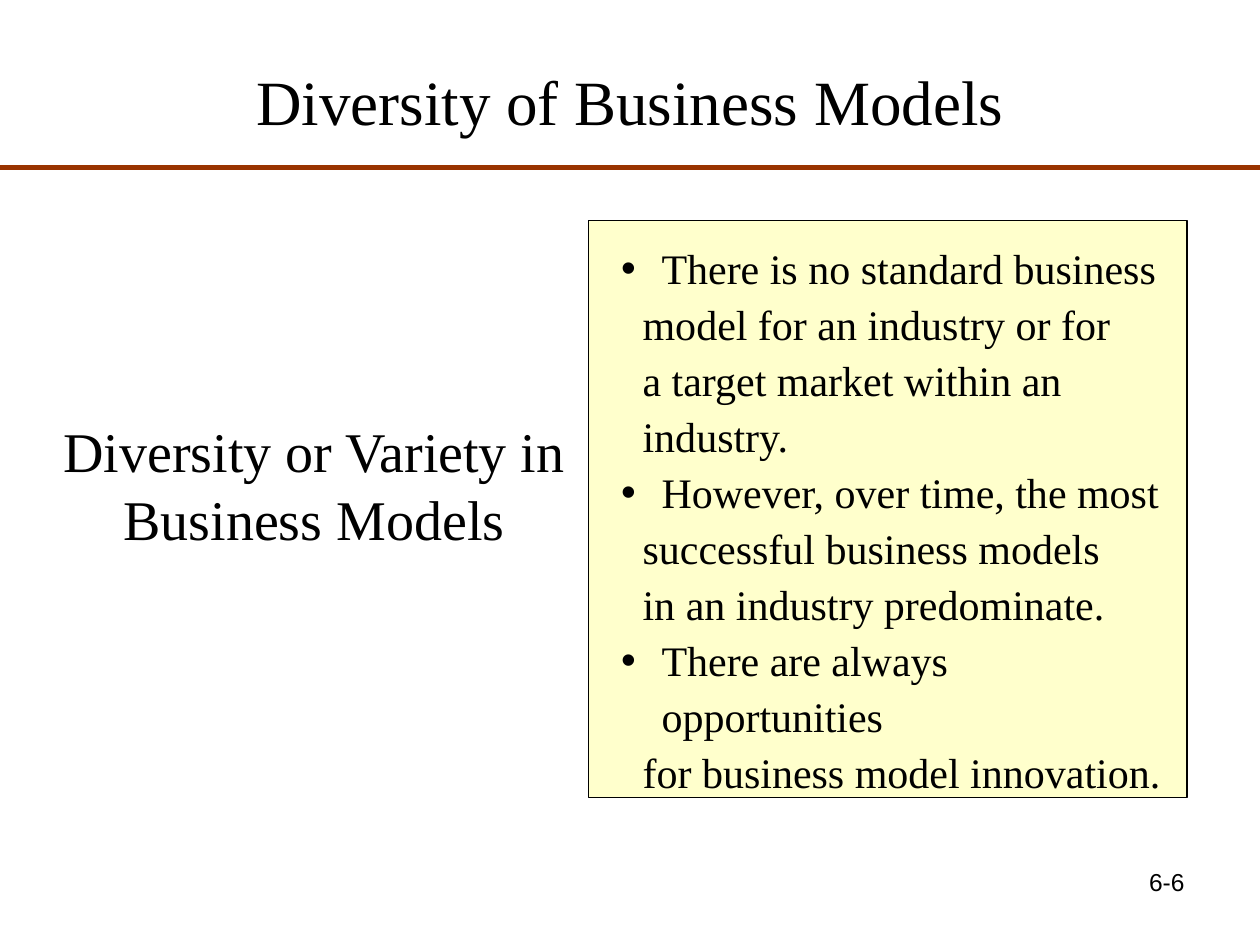
from typing import NamedTuple

from lxml.etree import SubElement
from pptx import Presentation
from pptx.dml.color import RGBColor
from pptx.enum.shapes import MSO_CONNECTOR, MSO_SHAPE
from pptx.enum.text import MSO_ANCHOR as Anchor, MSO_AUTO_SIZE as Fit, PP_ALIGN as Align
from pptx.oxml.ns import qn
from pptx.util import Inches, Pt

BLACK = RGBColor(0x00, 0x00, 0x00)
CREAM = RGBColor(0xFF, 0xFF, 0xCC)
RUST = RGBColor(0x99, 0x33, 0x00)
SERIF, SANS = "Times New Roman", "Arial"


class Box(NamedTuple):
    left: float
    top: float
    width: float
    height: float


class Point(NamedTuple):
    """A bulleted opening line and the lines that follow it."""
    head: str
    rest: tuple[str, ...]


POINTS = (
    Point("There is no standard business",
          ("model for an industry or for", "a target market within an", "industry.")),
    Point("However, over time, the most",
          ("successful business models", "in an industry predominate.")),
    Point("There are always opportunities",
          ("for business model innovation.",)),
)


def place(shape, box: Box) -> None:
    shape.left, shape.top, shape.width, shape.height = map(Inches, box)


def style(para, size: int, align: Align, face: str = SERIF) -> None:
    para.alignment = align
    para.space_before = Pt(0)
    font = para.font
    font.size, font.name, font.color.rgb = Pt(size), face, BLACK


def set_indent(para, left: float, bullet: bool) -> None:
    props = para._p.get_or_add_pPr()
    props.set("marL", str(Inches(left)))
    props.set("indent", str(-Inches(left) if bullet else 0))
    if bullet:
        SubElement(props, qn("a:buChar"), char="•")
    else:
        SubElement(props, qn("a:buNone"))


def add_label(slide, box: Box, text: str, size: int, align: Align, face: str = SERIF):
    label = slide.shapes.add_textbox(*map(Inches, box))
    frame = label.text_frame
    frame.word_wrap = True
    frame.text = text
    para = frame.paragraphs[0]
    style(para, size, align, face)
    return para


def add_rule(slide, top: float) -> None:
    rule = slide.shapes.add_connector(
        MSO_CONNECTOR.STRAIGHT, 0, Inches(top), Inches(10), Inches(top))
    rule.line.color.rgb, rule.line.width = RUST, Pt(3)
    SubElement(rule._element.spPr, qn("a:effectLst"))


def add_panel(slide, box: Box) -> None:
    """Draw the panel behind the placeholders."""
    panel = slide.shapes.add_shape(MSO_SHAPE.RECTANGLE, *map(Inches, box))
    panel.shadow.inherit = False
    panel.fill.solid()
    panel.fill.fore_color.rgb = CREAM
    panel.line.color.rgb, panel.line.width = BLACK, Pt(0.75)
    slide.shapes._spTree.insert(2, panel._element)


def fill_list(body, points: tuple[Point, ...]) -> None:
    lines = [(text, i == 0) for point in points
             for i, text in enumerate((point.head, *point.rest))]
    frame = body.text_frame
    frame.auto_size = Fit.NONE
    frame.text = "\n".join(text for text, _ in lines)
    for para, (_, bullet) in zip(frame.paragraphs, lines):
        set_indent(para, 0.32 if bullet else 0.17, bullet)
        style(para, 24, Align.LEFT)
        para.line_spacing = Pt(32)


def main() -> None:
    deck = Presentation()
    deck.slide_width, deck.slide_height = Inches(10), Inches(7.5)
    slide = deck.slides.add_slide(deck.slide_layouts[1])
    title, body = slide.placeholders

    place(title, Box(0.5, 0.17, 9, 1.25))
    title.text_frame.text = "Diversity of Business Models"
    title.text_frame.auto_size = Fit.NONE
    title.text_frame.vertical_anchor = Anchor.MIDDLE
    style(title.text_frame.paragraphs[0], 36, Align.CENTER)
    add_rule(slide, 1.33)

    topic = add_label(slide, Box(0.33, 3.25, 4.33, 1.17),
                      "Diversity or Variety in Business Models", 32, Align.CENTER)
    topic.line_spacing = Pt(39)

    add_panel(slide, Box(4.67, 1.75, 4.75, 4.58))
    place(body, Box(4.83, 1.83, 4.58, 4.1))
    fill_list(body, POINTS)

    add_label(slide, Box(7.17, 6.83, 2.33, 0.52), "6-6", 14, Align.RIGHT, SANS)
    deck.save("out.pptx")


if __name__ == "__main__":
    main()
